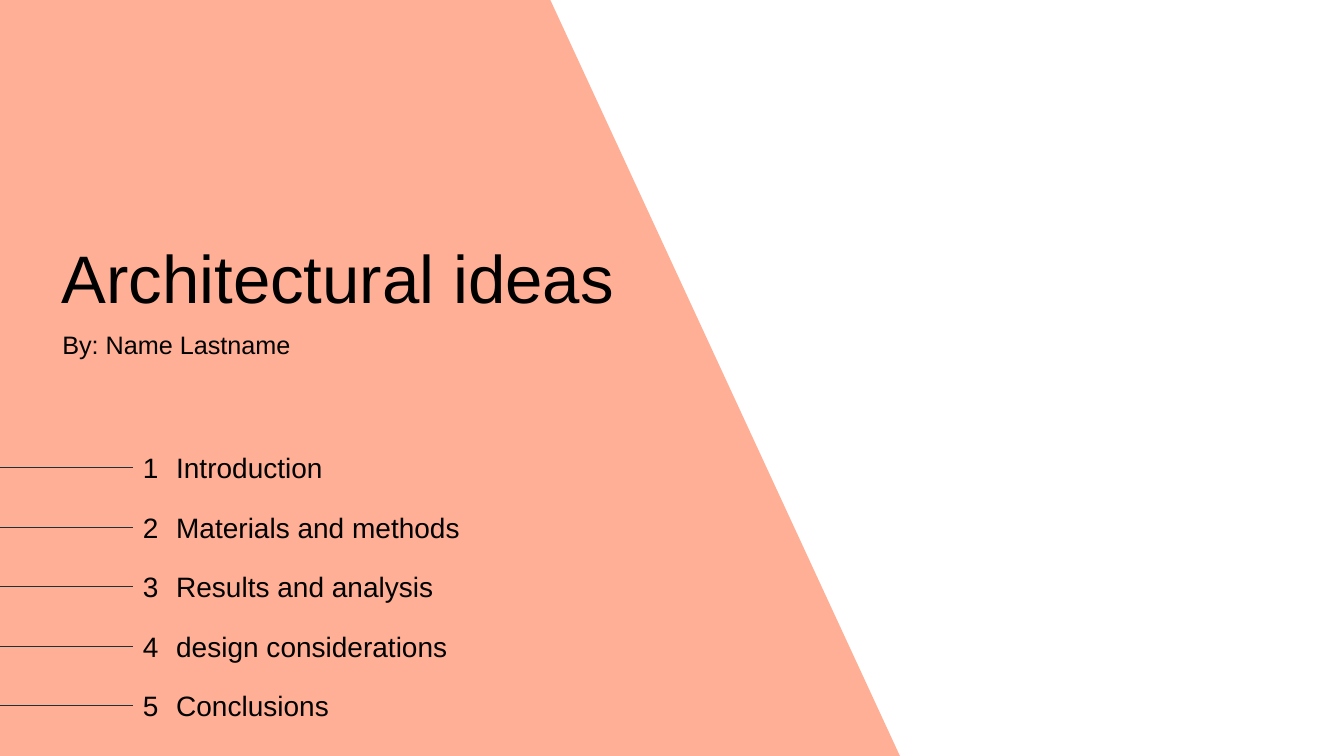
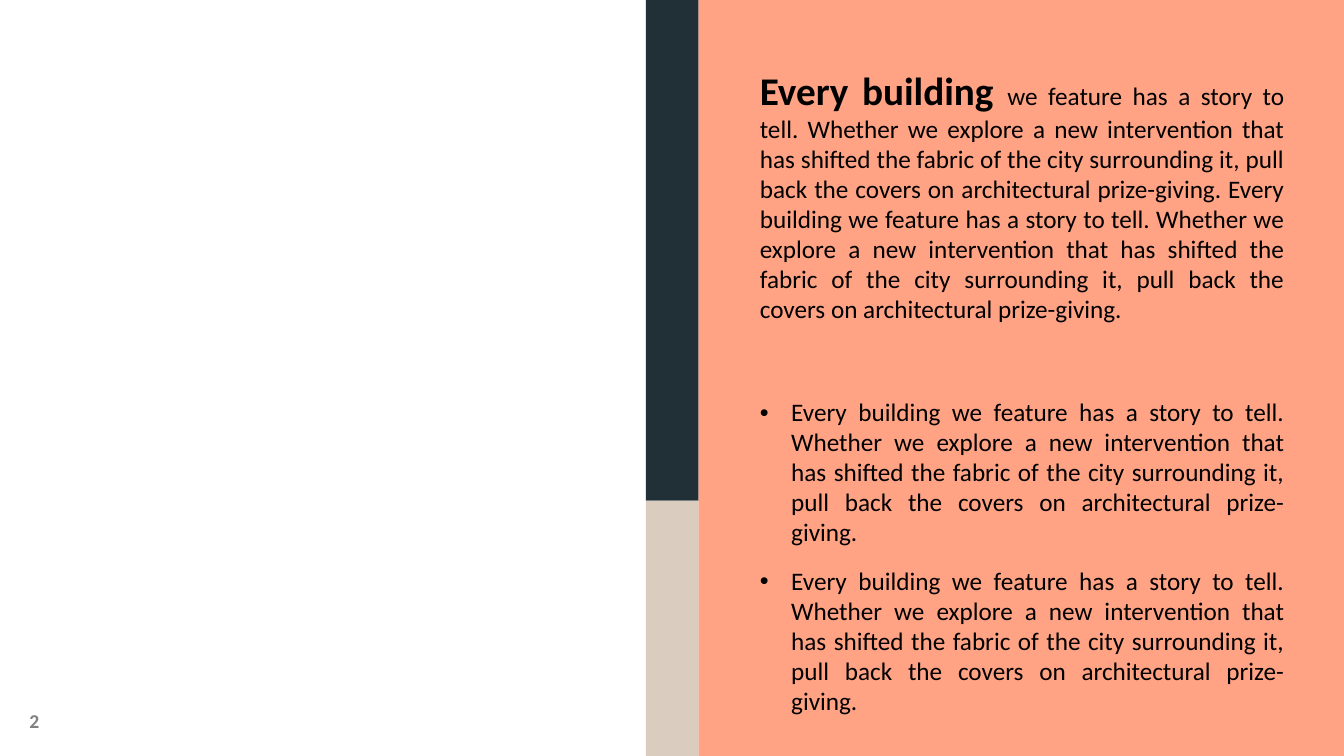
"""Build a two-slide deck on architectural ideas."""
from lxml.etree import SubElement
from pptx import Presentation
from pptx.dml.color import RGBColor
from pptx.enum.shapes import MSO_CONNECTOR as CONN, MSO_SHAPE as SHAPE
from pptx.enum.text import MSO_ANCHOR as ANCHOR, PP_ALIGN as ALIGN
from pptx.oxml.ns import qn
from pptx.util import Cm, Pt

WIDTH, HEIGHT = 33.87, 19.05
COLORS = {
    "coral": "FFA384",
    "navy": "213037",
    "sand": "DACCBF",
    "text": "000000",
    "grey": "808080",
}
STORY = (
    "Whether we explore a new intervention that has shifted the fabric of the city "
    "surrounding it, pull back the covers on architectural prize-giving."
)
SENTENCE = "Every building we feature has a story to tell. " + STORY
SECTIONS = [
    "Introduction",
    "Materials and methods",
    "Results and analysis",
    "design considerations",
    "Conclusions",
]


class Deck:
    """Hold the shared style and the current slide."""

    def __init__(self):
        self.prs = Presentation()
        self.prs.slide_width, self.prs.slide_height = Cm(WIDTH), Cm(HEIGHT)
        self.s = None

    def slide(self):
        self.s = self.prs.slides.add_slide(self.prs.slide_layouts[6])

    def color(self, name):
        return RGBColor.from_string(COLORS[name])

    def fill(self, sp, color, alpha=None):
        sp.shadow.inherit = False
        sp.fill.solid()
        sp.fill.fore_color.rgb = self.color(color)
        sp.line.fill.background()
        if alpha is not None:
            clr = sp._element.spPr.find(".//" + qn("a:srgbClr"))
            SubElement(clr, qn("a:alpha")).set("val", str(alpha * 1000))

    def rect(self, x, y, w, h, color):
        sp = self.s.shapes.add_shape(SHAPE.RECTANGLE, Cm(x), Cm(y), Cm(w), Cm(h))
        self.fill(sp, color)

    def polygon(self, points, color, alpha):
        start, *rest = [(Cm(x), Cm(y)) for x, y in points]
        builder = self.s.shapes.build_freeform(*start)
        builder.add_line_segments(rest, close=True)
        self.fill(builder.convert_to_shape(), color, alpha)

    def line(self, x1, y1, x2, y2):
        sp = self.s.shapes.add_connector(CONN.STRAIGHT, Cm(x1), Cm(y1), Cm(x2), Cm(y2))
        sp.line.color.rgb = self.color("navy")
        sp.line.width = Pt(0.75)
        SubElement(sp._element.spPr, qn("a:effectLst"))

    def text(self, x, y, w, h, runs, font="Arial", color="text", align=ALIGN.LEFT,
             anchor=ANCHOR.TOP, spacing=1.1, bullet=False):
        tf = self.s.shapes.add_textbox(Cm(x), Cm(y), Cm(w), Cm(h)).text_frame
        tf.word_wrap = True
        tf.vertical_anchor = anchor
        p = tf.paragraphs[0]
        p.alignment = align
        p.line_spacing = spacing
        if bullet:
            pPr = p._p.get_or_add_pPr()
            pPr.set("marL", str(Cm(0.79)))
            pPr.set("indent", str(-Cm(0.79)))
            SubElement(pPr, qn("a:buFont")).set("typeface", "Arial")
            SubElement(pPr, qn("a:buChar")).set("char", "•")
        for content, size, bold in runs:
            r = p.add_run()
            r.text = content
            r.font.name, r.font.size, r.font.bold = font, Pt(size), bold
            r.font.color.rgb = self.color(color)

    def body(self, y, h, runs, bullet=False):
        self.text(18.9, y, 13.72, h, runs, font="Calibri", align=ALIGN.JUSTIFY,
                  spacing=0.99, bullet=bullet)

    def page_number(self, number):
        self.text(0, 17.65, 1.24, 1.02, [(str(number), 14, True)], font="Calibri",
                  color="grey", align=ALIGN.RIGHT, anchor=ANCHOR.MIDDLE, spacing=1)


def cover(deck):
    deck.slide()
    deck.polygon([(0, 0), (13.87, 0), (22.68, HEIGHT), (0, HEIGHT)], "coral", 86)
    deck.text(1.3, 5.64, 17.15, 2.87, [("Architectural ideas", 48, False)])
    deck.text(1.32, 8.1, 12.42, 1.42, [("By: Name Lastname", 18, False)])
    for i, section in enumerate(SECTIONS):
        y = 11.15 + 1.5 * i
        deck.line(3.35, y + 0.63, 0, y + 0.63)
        deck.text(3.35, y, 1.55, 1.35, [(str(i + 1), 20, False)])
        deck.text(4.19, y, 15.4, 1.35, [(section, 20, False)])


def story(deck):
    deck.slide()
    deck.rect(17.6, 0, WIDTH - 17.6, HEIGHT, "coral")
    lead = "we feature has a story to tell. " + STORY + " " + SENTENCE
    deck.body(1.6, 7.54, [("Every building ", 28, True), (lead, 18, False)])
    for y in (9.9, 14.15):
        deck.body(y, 4.25, [(SENTENCE, 18, False)], bullet=True)
    deck.rect(16.28, 0, 1.32, 12.62, "navy")
    deck.rect(16.28, 12.62, 1.32, HEIGHT - 12.62, "sand")
    deck.page_number(2)


def main():
    deck = Deck()
    cover(deck)
    story(deck)
    deck.prs.save("out.pptx")


if __name__ == "__main__":
    main()
